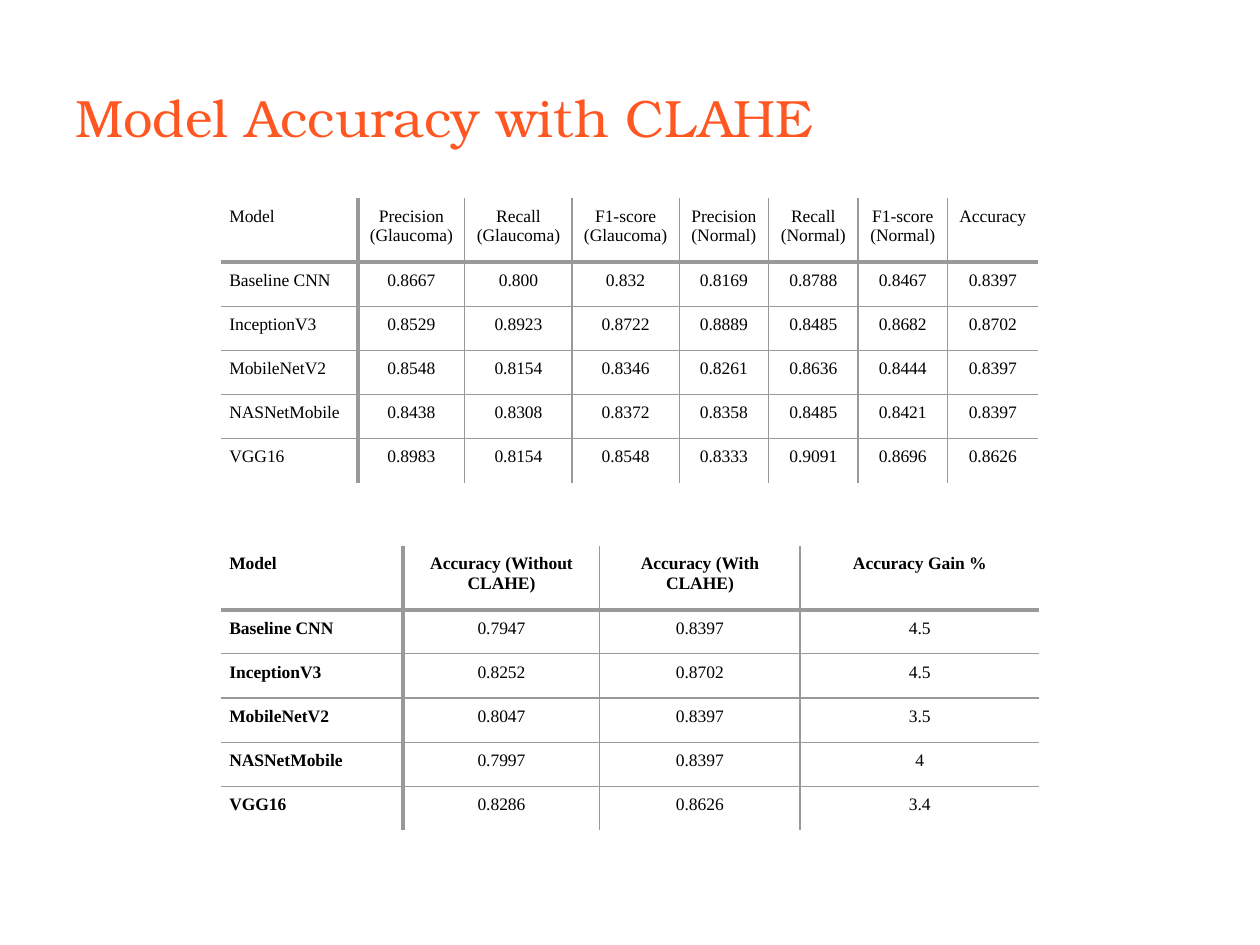
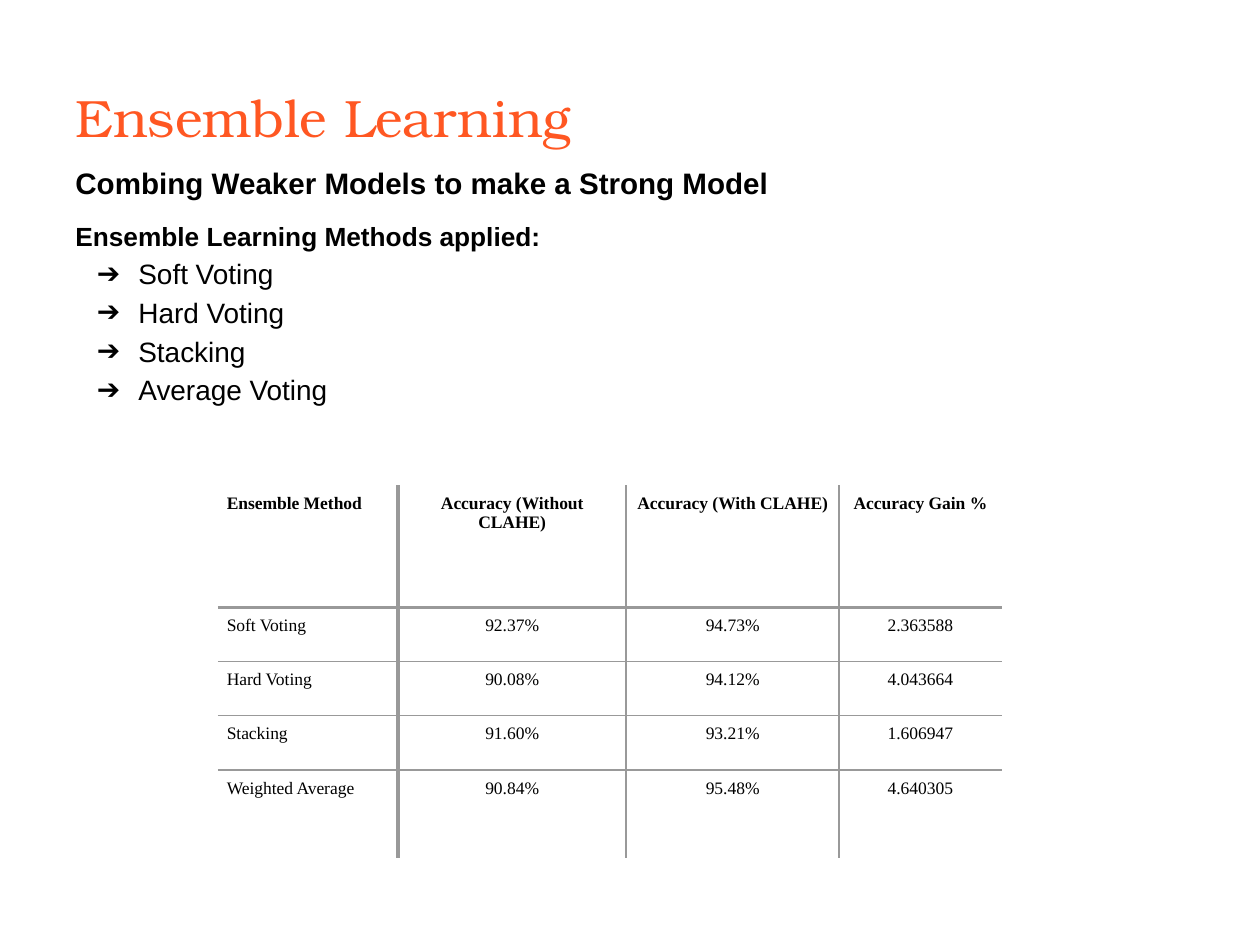
"""Build two slides on model accuracy with CLAHE and ensemble learning."""
import dataclasses
import typing

import lxml.etree
import pptx
import pptx.dml.color
import pptx.enum.text
import pptx.oxml.ns
import pptx.util

EMU_PER_PX = 9144
ALIGN = pptx.enum.text.PP_ALIGN


@dataclasses.dataclass(frozen=True)
class Theme:
    accent: str = "FF5722"
    ink: str = "000000"
    rule: str = "999999"
    title_font: str = "TeX Gyre Bonum"
    body_font: str = "Arial"
    table_font: str = "Times New Roman"
    title_size: float = 30
    lead_size: float = 16.9
    subhead_size: float = 15
    bullet_size: float = 16
    table_size: float = 10
    thick: float = 2.25


@dataclasses.dataclass(frozen=True)
class TableSpec:
    left: int
    top: int
    widths: list[int]
    heights: list[int]
    rows: list[list[str]]
    thin: float = 0.75
    bold_header: bool = True
    bold_labels: bool = False
    label_align: typing.Any = ALIGN.LEFT


THEME = Theme()

MODELS = ["Baseline CNN", "InceptionV3", "MobileNetV2", "NASNetMobile", "VGG16"]
MODEL_HEIGHTS = [51] + [35] * len(MODELS)
GAIN_HEADERS = ["Accuracy (Without CLAHE)", "Accuracy (With CLAHE)", "Accuracy Gain %"]
METRICS = [
    ["0.8667", "0.800", "0.832", "0.8169", "0.8788", "0.8467", "0.8397"],
    ["0.8529", "0.8923", "0.8722", "0.8889", "0.8485", "0.8682", "0.8702"],
    ["0.8548", "0.8154", "0.8346", "0.8261", "0.8636", "0.8444", "0.8397"],
    ["0.8438", "0.8308", "0.8372", "0.8358", "0.8485", "0.8421", "0.8397"],
    ["0.8983", "0.8154", "0.8548", "0.8333", "0.9091", "0.8696", "0.8626"],
]
GAINS = [
    ["0.7947", "0.8397", "4.5"],
    ["0.8252", "0.8702", "4.5"],
    ["0.8047", "0.8397", "3.5"],
    ["0.7997", "0.8397", "4"],
    ["0.8286", "0.8626", "3.4"],
]
METRIC_HEADERS = [
    f"{metric} ({group})"
    for group in ("Glaucoma", "Normal")
    for metric in ("Precision", "Recall", "F1-score")
] + ["Accuracy"]

METRIC_TABLE = TableSpec(
    175, 157, [109, 85, 85, 85, 71, 71, 71, 72], MODEL_HEIGHTS,
    [["Model"] + METRIC_HEADERS] + [[m] + v for m, v in zip(MODELS, METRICS)],
    bold_header=False,
)
GAIN_TABLE = TableSpec(
    175, 433, [145, 156, 159, 190], MODEL_HEIGHTS,
    [["Model"] + GAIN_HEADERS] + [[m] + v for m, v in zip(MODELS, GAINS)],
    bold_labels=True, label_align=ALIGN.JUSTIFY,
)
ENSEMBLE_TABLE = TableSpec(
    173, 385, [143, 181, 169, 129], [97, 43, 43, 43, 70],
    [
        ["Ensemble Method"] + GAIN_HEADERS,
        ["Soft Voting", "92.37%", "94.73%", "2.363588"],
        ["Hard Voting", "90.08%", "94.12%", "4.043664"],
        ["Stacking", "91.60%", "93.21%", "1.606947"],
        ["Weighted Average", "90.84%", "95.48%", "4.640305"],
    ],
    thin=1,
)


def px(n: int) -> pptx.util.Emu:
    """Turn pixels into EMU."""
    return pptx.util.Emu(n * EMU_PER_PX)


def add_node(parent, tag: str, **attrs: str):
    """Append a DrawingML element with attributes."""
    return lxml.etree.SubElement(parent, pptx.oxml.ns.qn(tag), attrs)


def write_text(p, text: str, *, font: str, size: float, color: str = THEME.ink,
               bold: bool = False, align=None, spacing: float | None = None,
               before: float = 0) -> None:
    """Write one formatted run into a paragraph."""
    p.alignment = align
    p.line_spacing = spacing
    p.space_before = pptx.util.Pt(before)
    r = p.add_run()
    r.text = text
    r.font.name = font
    r.font.size = pptx.util.Pt(size)
    r.font.bold = bold
    r.font.color.rgb = pptx.dml.color.RGBColor.from_string(color)


def add_bullet(p, char: str) -> None:
    """Give a paragraph a hanging bullet."""
    pPr = p._p.get_or_add_pPr()
    pPr.set("marL", str(px(50)))
    pPr.set("indent", str(px(-33)))
    add_node(add_node(pPr, "a:buClr"), "a:srgbClr", val=THEME.ink)
    add_node(pPr, "a:buFont", typeface=THEME.body_font)
    add_node(pPr, "a:buChar", char=char)


def add_text_frame(slide, left: int, top: int, width: int, height: int):
    """Add a wrapping text box and return its frame."""
    tf = slide.shapes.add_textbox(px(left), px(top), px(width), px(height)).text_frame
    tf.word_wrap = True
    return tf


def add_titled_slide(prs, title: str):
    """Add a blank slide with the shared title style."""
    slide = prs.slides.add_slide(prs.slide_layouts[6])
    tf = add_text_frame(slide, 50, 30, 900, 125)
    tf.vertical_anchor = pptx.enum.text.MSO_ANCHOR.MIDDLE
    write_text(tf.paragraphs[0], title, font=THEME.title_font,
               size=THEME.title_size, color=THEME.accent)
    return slide


def set_border(cell, side: str, width: float) -> None:
    """Draw one cell edge, or clear it when the width is zero."""
    ln = add_node(cell._tc.get_or_add_tcPr(), f"a:ln{side}", w=str(pptx.util.Pt(width)))
    if width:
        add_node(add_node(ln, "a:solidFill"), "a:srgbClr", val=THEME.rule)
    else:
        add_node(ln, "a:noFill")


def rule_width(index: int, count: int, thin: float) -> float:
    """Return the weight of a grid line: none outside, thick after the first band."""
    if index in (0, count):
        return 0
    return THEME.thick if index == 1 else thin


def add_ruled_table(slide, spec: TableSpec) -> None:
    """Add a table with inner rules only."""
    n_rows, n_cols = len(spec.heights), len(spec.widths)
    table = slide.shapes.add_table(
        n_rows, n_cols, px(spec.left), px(spec.top),
        px(sum(spec.widths)), px(sum(spec.heights))).table
    table.first_row = table.horz_banding = False
    for column, width in zip(table.columns, spec.widths):
        column.width = px(width)
    for row, height in zip(table.rows, spec.heights):
        row.height = px(height)
    for i, values in enumerate(spec.rows):
        for j, text in enumerate(values):
            cell = table.cell(i, j)
            cell.margin_left = cell.margin_right = px(7)
            cell.margin_top = cell.margin_bottom = px(7)
            for side, index, count in (("L", j, n_cols), ("R", j + 1, n_cols),
                                       ("T", i, n_rows), ("B", i + 1, n_rows)):
                set_border(cell, side, rule_width(index, count, spec.thin))
            cell.fill.background()
            bold = spec.bold_header if i == 0 else spec.bold_labels and j == 0
            write_text(cell.text_frame.paragraphs[0], text, font=THEME.table_font,
                       size=THEME.table_size, bold=bold,
                       align=ALIGN.CENTER if j else spec.label_align)


def build_accuracy_slide(prs) -> None:
    """Build the model accuracy slide."""
    slide = add_titled_slide(prs, "Model Accuracy with CLAHE")
    add_ruled_table(slide, METRIC_TABLE)
    add_ruled_table(slide, GAIN_TABLE)


def build_ensemble_slide(prs) -> None:
    """Build the ensemble learning slide."""
    slide = add_titled_slide(prs, "Ensemble Learning")
    tf = add_text_frame(slide, 50, 128, 891, 247)
    heading = dict(font=THEME.body_font, bold=True, align=ALIGN.JUSTIFY, spacing=0.95)
    write_text(tf.paragraphs[0], "Combing Weaker Models to make a Strong Model",
               size=THEME.lead_size, **heading)
    write_text(tf.add_paragraph(), "Ensemble Learning Methods applied:",
               size=THEME.subhead_size, before=12, **heading)
    for method in ("Soft Voting", "Hard Voting", "Stacking", "Average Voting"):
        p = tf.add_paragraph()
        add_bullet(p, "➔")
        write_text(p, method, font=THEME.body_font, size=THEME.bullet_size, spacing=1.15)
    add_ruled_table(slide, ENSEMBLE_TABLE)


def main() -> None:
    """Build and save the presentation."""
    prs = pptx.Presentation()
    prs.slide_width, prs.slide_height = px(1000), px(750)
    build_accuracy_slide(prs)
    build_ensemble_slide(prs)
    prs.save("out.pptx")


if __name__ == "__main__":
    main()
